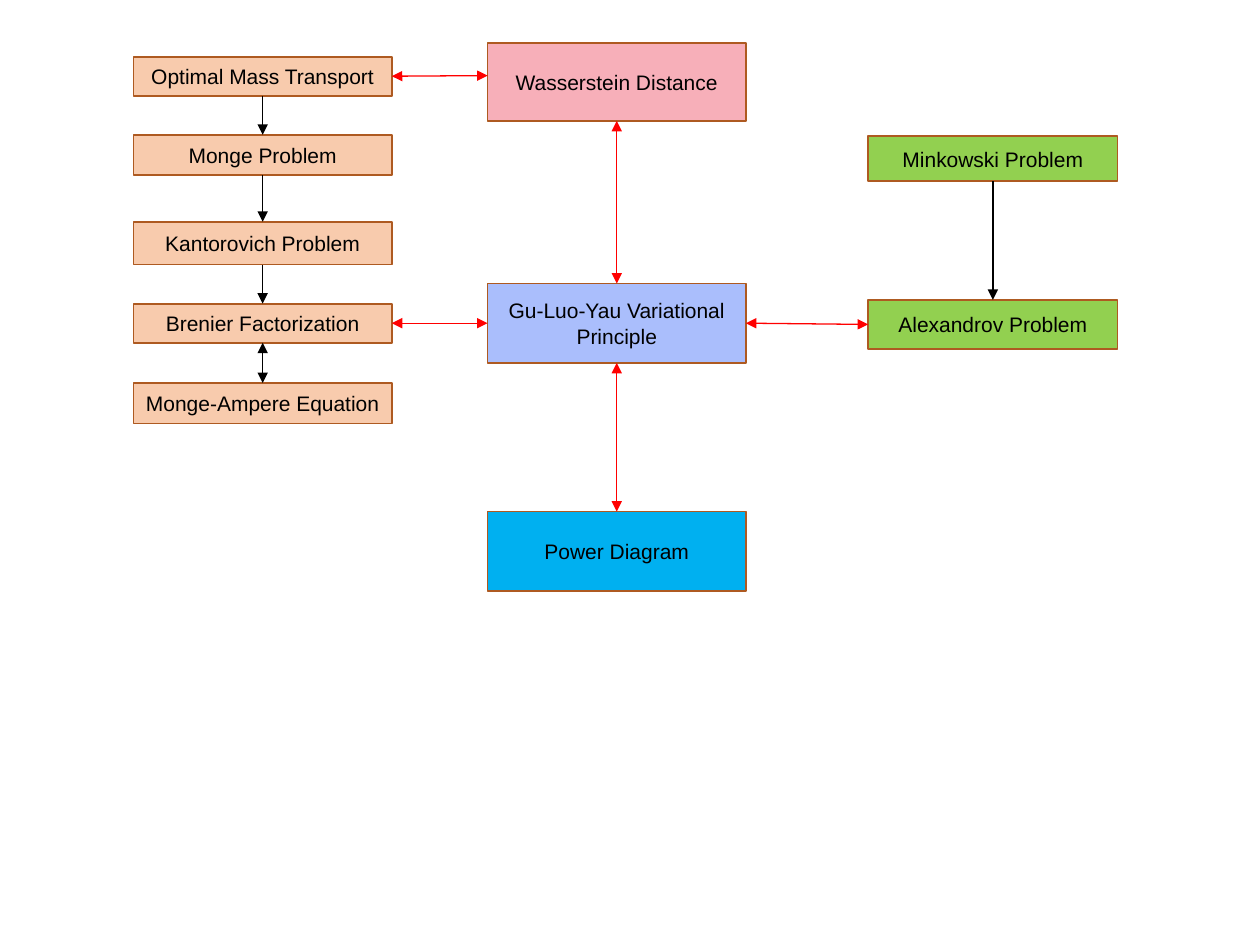
from dataclasses import dataclass
from typing import Optional

import pptx
import pptx.dml.color
import pptx.enum.shapes
import pptx.enum.text
import pptx.oxml
import pptx.oxml.ns
import pptx.util

COLS, ROWS = 100, 75  # grid cells across and down the slide
COLOURS = {
    "peach": "F8CBAD", "green": "92D050", "blue": "AABEFC", "cyan": "00B0F0",
    "pink": "F7AFB9", "brown": "AE5A21", "black": "000000", "red": "FF0000",
}
TOP, LEFT, BOTTOM, RIGHT = range(4)


@dataclass(frozen=True)
class Stack:
    """A column of boxes: left edge and width in grid columns."""
    left: float
    width: float


@dataclass(frozen=True)
class Box:
    """A labelled box: top edge and height in grid rows."""
    text: str
    stack: Stack
    top: float
    height: float
    fill: str


@dataclass(frozen=True)
class Link:
    """An arrow between box sides; drop ends it that many rows below the top."""
    start: str
    side: int
    end: str
    goal: int
    colour: str = "black"
    both: bool = False
    drop: Optional[float] = None


MASS, CORE, SHAPE = Stack(10.6, 20.5), Stack(38.7, 20.5), Stack(68.9, 19.8)

BOXES = {
    "mass": Box("Optimal Mass Transport", MASS, 4.5, 3.1, "peach"),
    "monge": Box("Monge Problem", MASS, 10.7, 3.2, "peach"),
    "kant": Box("Kantorovich Problem", MASS, 17.6, 3.4, "peach"),
    "bren": Box("Brenier Factorization", MASS, 24.1, 3.1, "peach"),
    "ampere": Box("Monge-Ampere Equation", MASS, 30.4, 3.2, "peach"),
    "mink": Box("Minkowski Problem", SHAPE, 10.8, 3.6, "green"),
    "alex": Box("Alexandrov Problem", SHAPE, 23.8, 3.9, "green"),
    "gu": Box("Gu-Luo-Yau Variational Principle", CORE, 22.5, 6.3, "blue"),
    "power": Box("Power Diagram", CORE, 40.6, 6.3, "cyan"),
    "wass": Box("Wasserstein Distance", CORE, 3.4, 6.2, "pink"),
}

LINKS = [
    Link("mass", BOTTOM, "monge", TOP),
    Link("monge", BOTTOM, "kant", TOP),
    Link("kant", BOTTOM, "bren", TOP),
    Link("bren", BOTTOM, "ampere", TOP, both=True),
    Link("mink", BOTTOM, "alex", TOP),
    Link("bren", RIGHT, "gu", LEFT, "red", True),
    Link("gu", RIGHT, "alex", LEFT, "red", True),
    Link("wass", BOTTOM, "gu", TOP, "red", True),
    Link("gu", BOTTOM, "power", TOP, "red", True),
    Link("mass", RIGHT, "wass", LEFT, "red", True, drop=2.6),
]

deck = pptx.Presentation()
deck.slide_width = pptx.util.Inches(10)
deck.slide_height = pptx.util.Inches(7.5)
slide = deck.slides.add_slide(deck.slide_layouts[6])


def across(cols: float) -> int:
    return round(deck.slide_width * cols / COLS)


def down(rows: float) -> int:
    return round(deck.slide_height * rows / ROWS)


def tint(name: str) -> pptx.dml.color.RGBColor:
    return pptx.dml.color.RGBColor.from_string(COLOURS[name])


def draw_box(box: Box):
    shape = slide.shapes.add_shape(
        pptx.enum.shapes.MSO_SHAPE.FLOWCHART_PROCESS,
        across(box.stack.left), down(box.top),
        across(box.stack.width), down(box.height))
    shape.shadow.inherit = False
    shape.fill.solid()
    shape.fill.fore_color.rgb = tint(box.fill)
    shape.line.color.rgb = tint("brown")
    shape.line.width = pptx.util.Pt(1)
    frame = shape.text_frame
    frame.word_wrap = True
    frame.vertical_anchor = pptx.enum.text.MSO_ANCHOR.MIDDLE
    para = frame.paragraphs[0]
    para.alignment = pptx.enum.text.PP_ALIGN.CENTER
    run = para.add_run()
    run.text = box.text
    for key, value in {"name": "Arial", "size": pptx.util.Pt(12)}.items():
        setattr(run.font, key, value)
    run.font.color.rgb = tint("black")
    return shape


def draw_link(link: Link, shapes: dict) -> None:
    goal = shapes[link.end]
    line = slide.shapes.add_connector(
        pptx.enum.shapes.MSO_CONNECTOR.STRAIGHT, 0, 0,
        goal.left, goal.top + down(link.drop or 0))
    line.begin_connect(shapes[link.start], link.side)
    if link.drop is None:
        line.end_connect(goal, link.goal)
    line.line.color.rgb = tint(link.colour)
    line.line.width = pptx.util.Pt(0.75)
    pen = line.line._get_or_add_ln()
    for tag in ("a:headEnd", "a:tailEnd") if link.both else ("a:tailEnd",):
        tip = pptx.oxml.xmlchemy.OxmlElement(tag)
        tip.set("type", "triangle")
        pen.append(tip)
    line._element.spPr.append(pptx.oxml.xmlchemy.OxmlElement("a:effectLst"))


shapes = {key: draw_box(box) for key, box in BOXES.items()}
for link in LINKS:
    draw_link(link, shapes)

deck.save("out.pptx")
